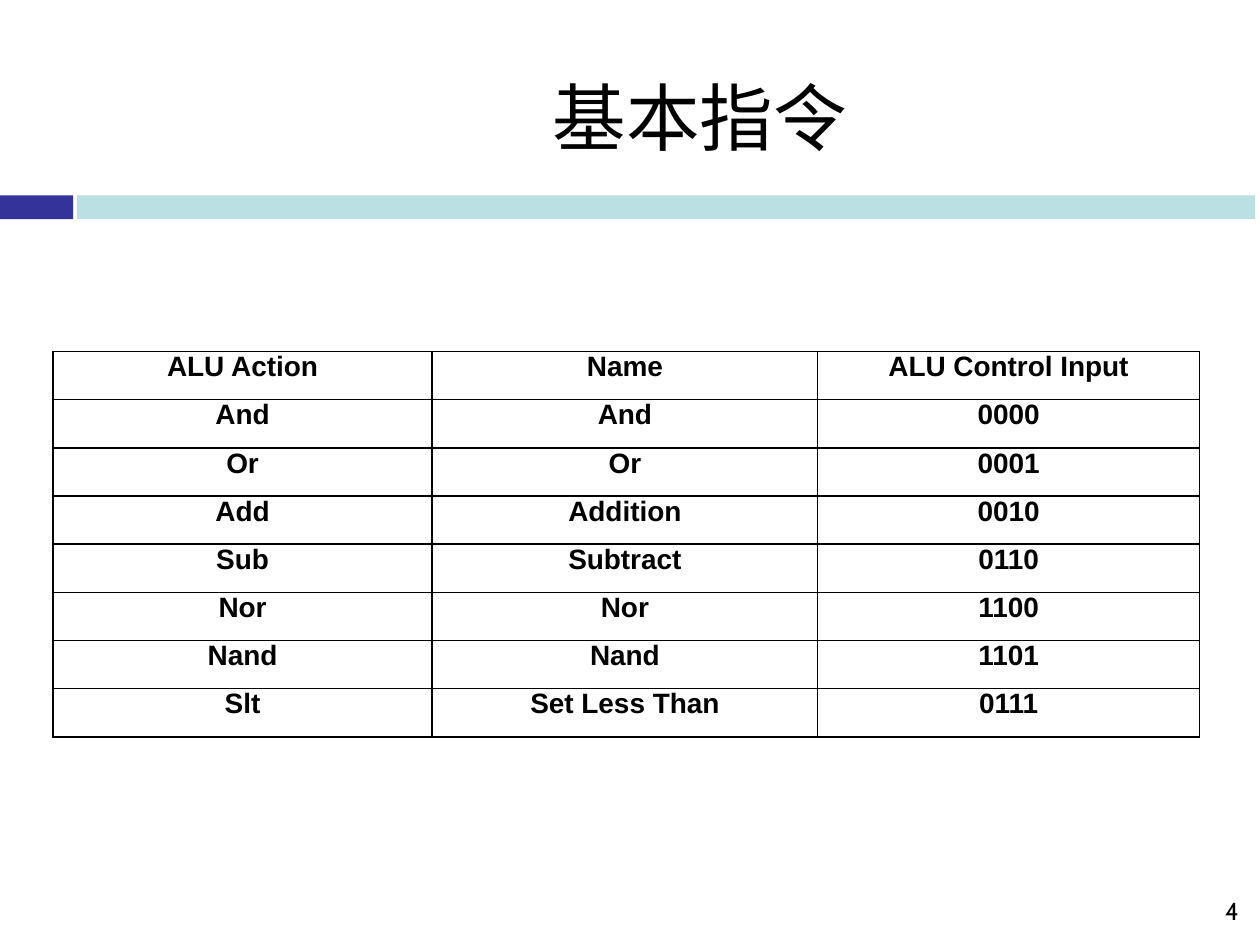
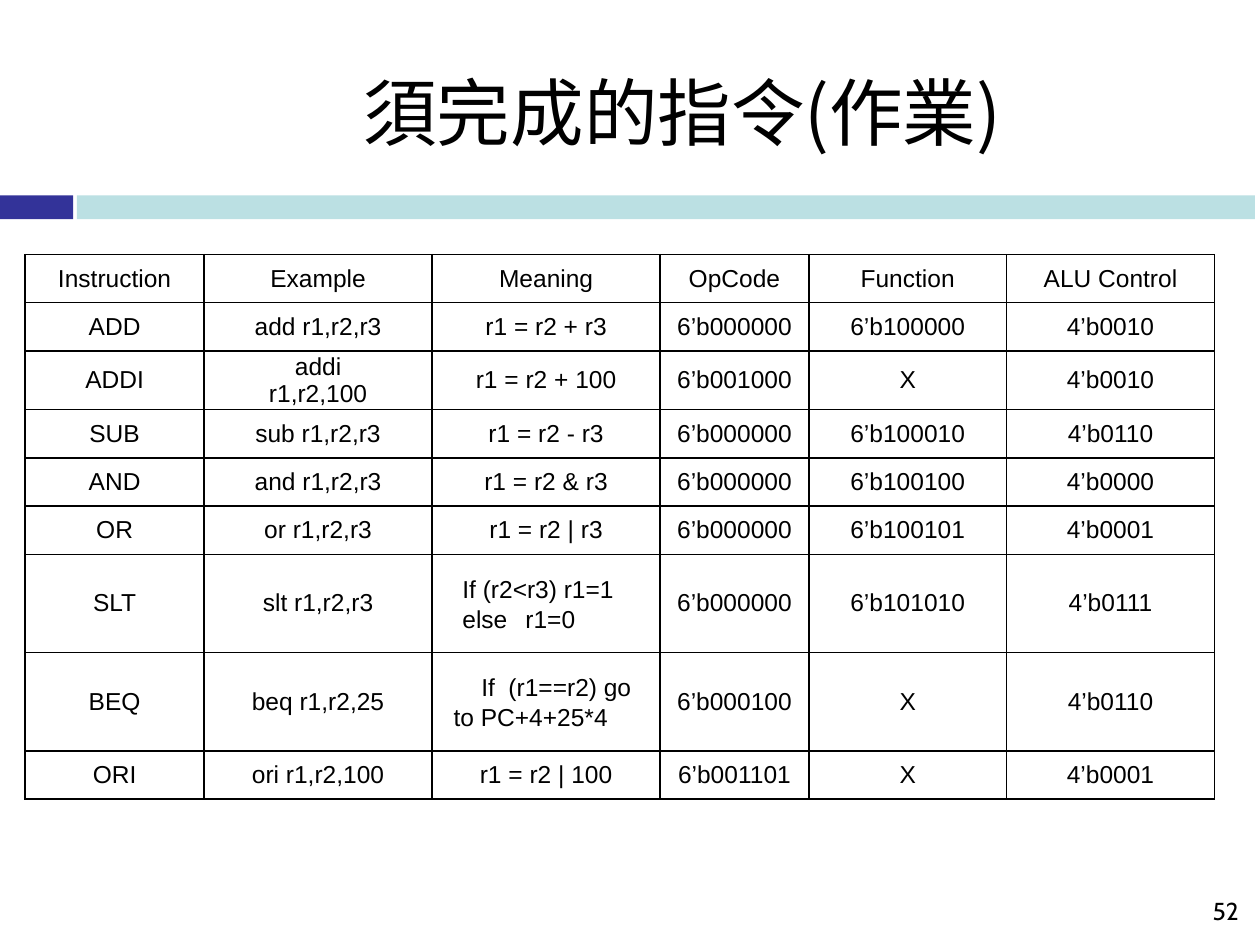
from lxml import etree
from pptx import Presentation, util as u
from pptx.dml.color import RGBColor
from pptx.enum import shapes, text
from pptx.oxml import parse_xml
from pptx.oxml.ns import nsdecls, qn

BLACK = RGBColor(0x00, 0x00, 0x00)
WHITE = RGBColor(0xFF, 0xFF, 0xFF)
NAVY = RGBColor(0x33, 0x33, 0x99)
AQUA = RGBColor(0xBB, 0xE0, 0xE3)
ROW = u.Inches(3.06 / 8)
TALL = u.Inches(0.78)


def style(para, face, size, align, bold=False):
    para.alignment = align
    font = para.font
    font.name, font.size, font.bold = face, u.Pt(size), bold
    font.color.rgb = BLACK


def indent(para, left, right, first=0):
    props = para._p.get_or_add_pPr()
    for key, inch in (("marL", left), ("marR", right), ("indent", first)):
        props.set(key, str(u.Inches(inch)))
    return props


# Content of the two slides
basic = [
    ("ALU Action", "Name", "ALU Control Input"),
    ("And", "And", "0000"),
    ("Or", "Or", "0001"),
    ("Add", "Addition", "0010"),
    ("Sub", "Subtract", "0110"),
    ("Nor", "Nor", "1100"),
    ("Nand", "Nand", "1101"),
    ("Slt", "Set Less Than", "0111"),
]
tasks = [
    ("Instruction", "Example", "Meaning", "OpCode", "Function", "ALU Control"),
    ("ADD", "add r1,r2,r3", "r1 = r2 + r3", "6’b000000", "6’b100000", "4’b0010"),
    ("ADDI", "addi r1,r2,100", "r1 = r2 + 100", "6’b001000", "X", "4’b0010"),
    ("SUB", "sub r1,r2,r3", "r1 = r2 - r3", "6’b000000", "6’b100010", "4’b0110"),
    ("AND", "and r1,r2,r3", "r1 = r2 & r3", "6’b000000", "6’b100100", "4’b0000"),
    ("OR", "or r1,r2,r3", "r1 = r2 | r3", "6’b000000", "6’b100101", "4’b0001"),
    ("SLT", "slt r1,r2,r3", "If (r2<r3) r1=1 else\tr1=0", "6’b000000", "6’b101010", "4’b0111"),
    ("BEQ", "beq r1,r2,25", "If  (r1==r2) go to PC+4+25*4", "6’b000100", "X", "4’b0110"),
    ("ORI", "ori r1,r2,100", "r1 = r2 | 100", "6’b001101", "X", "4’b0001"),
]
# title, title place, page, table place, column widths, cell margins, size, bold, anchor, rows
pages = [
    ("基本指令", (1.61, 0.3), "4", (0.42, 2.79), (3.01, 3.06, 3.03),
     (0.54, 0.46, 0.28), 16, True, text.MSO_ANCHOR.TOP, basic),
    ("須完成的指令(作業)", (1.47, 0.26), "52", (0.2, 2.02),
     (1.42, 1.81, 1.81, 1.18, 1.57, 1.65),
     (0.15, 0.32, 0.3, 0.06, 0.28, 0.28), 14, False, text.MSO_ANCHOR.MIDDLE, tasks),
]

deck = Presentation()
deck.slide_width, deck.slide_height = u.Inches(10), u.Inches(7.5)
layout = deck.slide_layouts[5]
grids = []

for name, (x, y), page, (left, top), cols, pads, size, bold, anchor, rows in pages:
    slide = deck.slides.add_slide(layout)

    # Title
    title = slide.shapes.title
    title.left, title.top = u.Inches(x), u.Inches(y)
    title.width, title.height = u.Inches(7.89), u.Inches(1.25)
    title.text_frame.text = name
    title.text_frame.vertical_anchor = text.MSO_ANCHOR.MIDDLE
    para = title.text_frame.paragraphs[0]
    style(para, "Noto Sans CJK SC", 42, text.PP_ALIGN.CENTER)
    etree.SubElement(para.font._rPr, qn("a:ea")).set("typeface", "Noto Sans CJK SC")

    # Page number
    box = slide.shapes.add_textbox(u.Inches(7.6), u.Inches(7.06), u.Inches(2.33), u.Inches(0.36))
    box.text_frame.word_wrap = True
    box.text_frame.text = page
    style(box.text_frame.paragraphs[0], "Cabin", 14, text.PP_ALIGN.RIGHT)

    # Table
    grid = slide.shapes.add_table(len(rows), len(cols), u.Inches(left), u.Inches(top),
                                  u.Inches(sum(cols)), ROW * len(rows)).table
    grid.first_row = grid.horz_banding = False
    grids.append(grid)
    for col, width in zip(grid.columns, cols):
        col.width = u.Inches(width)
    for r, row in enumerate(rows):
        grid.rows[r].height = TALL if row[0] in ("SLT", "BEQ") else ROW
        for c, word in enumerate(row):
            cell = grid.cell(r, c)
            cell.margin_left = cell.margin_right = cell.margin_top = cell.margin_bottom = 0
            cell.vertical_anchor = anchor
            cell.fill.solid()
            cell.fill.fore_color.rgb = WHITE
            for i, side in enumerate("LRTB"):
                cell._tc.tcPr.insert(i, parse_xml(
                    f'<a:ln{side} {nsdecls("a")} w="12700"><a:solidFill>'
                    f'<a:srgbClr val="{BLACK}"/></a:solidFill></a:ln{side}>'))
            cell.text_frame.text = word
            para = cell.text_frame.paragraphs[0]
            indent(para, pads[c], pads[c])
            style(para, "Arial", size, text.PP_ALIGN.CENTER, bold)

# Left-aligned meanings of SLT and BEQ
for r, left, right, first in ((6, 0.24, 0.3, 0), (7, 0.17, 0.2, 0.22)):
    para = grids[1].cell(r, 2).text_frame.paragraphs[0]
    props = indent(para, left, right, first)
    para.alignment = text.PP_ALIGN.LEFT
    para.line_spacing = 1.11
    if r == 6:
        props.insert(1, parse_xml(f'<a:tabLst {nsdecls("a")}><a:tab pos="{u.Inches(1.02)}" algn="l"/></a:tabLst>'))

# Bands shared through the layout
for x, width, color in ((0, 0.58, NAVY), (0.61, 9.35, AQUA)):
    band = slide.shapes.add_shape(shapes.MSO_SHAPE.RECTANGLE, u.Inches(x), u.Inches(1.55),
                                  u.Inches(width), u.Inches(0.19))
    band.shadow.inherit = False
    band.fill.solid()
    band.fill.fore_color.rgb = color
    band.line.fill.background()
    layout.shapes._spTree.append(band._element)

deck.save("out.pptx")
